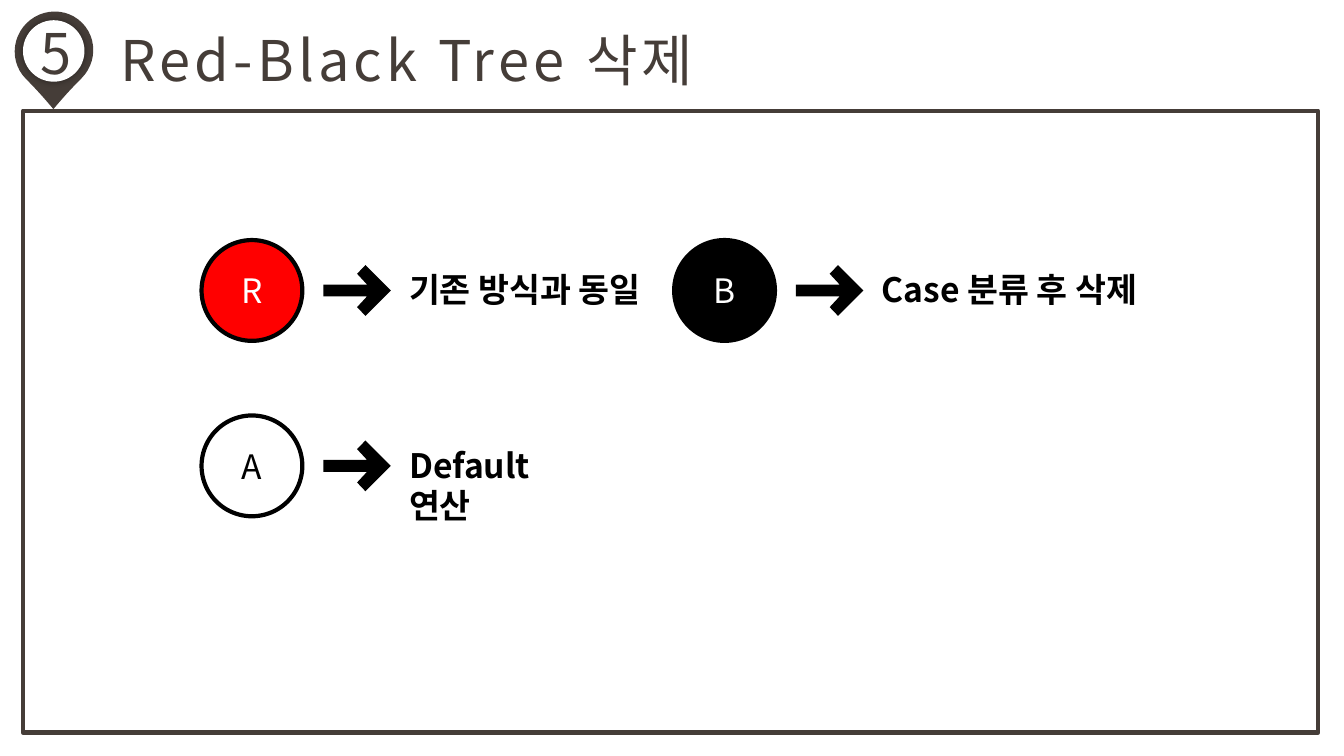
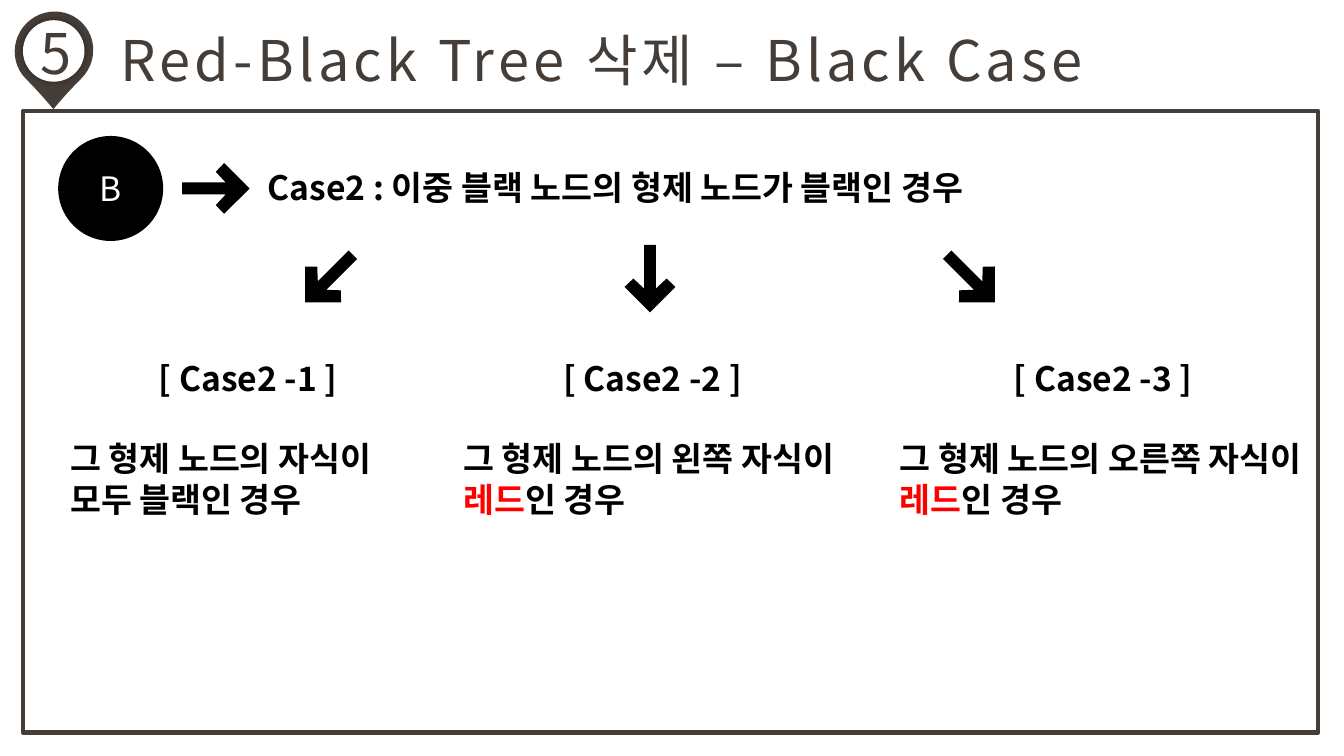
from dataclasses import dataclass

from lxml.etree import SubElement
from pptx import Presentation
from pptx.dml.color import RGBColor
from pptx.enum.shapes import MSO_SHAPE
from pptx.enum.text import MSO_ANCHOR, MSO_AUTO_SIZE, PP_ALIGN
from pptx.oxml import parse_xml
from pptx.oxml.ns import nsdecls, qn
from pptx.util import Cm, Pt


@dataclass(frozen=True)
class Theme:
    font: str = "Noto Sans CJK KR"
    brown: str = "453D38"
    black: str = "000000"
    white: str = "FFFFFF"
    red: str = "FF0000"
    title_size: int = 40
    text_size: int = 24
    line_width: int = 3
    title_spacing: int = 3
    line_height: float = 1.2


THEME = Theme()

SECTION = "5"
NODE_STYLES = {  # letter: fill, text colour
    "R": (THEME.red, THEME.white),
    "B": (THEME.black, THEME.white),
    "A": (THEME.white, THEME.black),
}

OVERVIEW_TITLE = "Red-Black Tree 삭제"
OVERVIEW = [  # letter, row, column, text, text width
    ("R", 0, 0, "기존 방식과 동일", 6.38),
    ("B", 0, 1, "Case 분류 후 삭제", 7.16),
    ("A", 1, 0, "Default 연산", 5.18),
]

CASE_TITLE = "Red-Black Tree 삭제 – Black Case"
CASE_RULE = "Case2 : 이중 블랙 노드의 형제 노드가 블랙인 경우"
CASES = [  # heading, spans of the body, left, width, arrow angle
    ("[ Case2 -1 ]", ["그 형제 노드의 자식이\n모두 블랙인 경우"], 1.52, 9.47, 135),
    ("[ Case2 -2 ]", ["그 형제 노드의 왼쪽 자식이 ", "레드", "인 경우"], 11.43, 10.03, 90),
    ("[ Case2 -3 ]", ["그 형제 노드의 오른쪽 자식이 ", "레드", "인 경우"], 22.43, 10.74, 45),
]
RED_WORD = "레드"

# Centimetres
SLIDE_SIZE = (33.87, 19.05)
NODE_SIZE = 2.54
ROW_TOP, ROW_STEP = 6.05, 4.42
COLUMN_LEFT, COLUMN_STEP = 5.08, 11.91
ARROW_OFFSET, TEXT_OFFSET = 3.92, 4.98
CASE_ARROW_LEFT, CASE_ARROW_STEP, CASE_ARROW_TOP = 8.29, 8.09, 7.02
UPPER_ARROW = [(-0.85, -0.15), (0.25, -0.15), (0, -0.42), (0.21, -0.64)]
ARROW_OUTLINE = UPPER_ARROW + [(0.85, 0)] + [(x, -y) for x, y in reversed(UPPER_ARROW)]


def rgb(colour):
    return RGBColor.from_string(colour)


def format_span(span, size, colour, bold=False, spacing=0):
    span.font.name = THEME.font
    span.font.size = Pt(size)
    span.font.bold = bold
    span.font.color.rgb = rgb(colour)
    properties = span._r.get_or_add_rPr()
    if spacing:
        properties.set("spc", str(spacing * 100))
    SubElement(properties, qn("a:ea")).set("typeface", THEME.font)


def format_para(para, size, colour, align=PP_ALIGN.LEFT, **style):
    para.alignment = align
    para.line_spacing = Pt(size * THEME.line_height)
    for span in para.runs:
        format_span(span, size, colour, **style)


def place(shape, left, top, width, height):
    shape.left, shape.top, shape.width, shape.height = map(Cm, (left, top, width, height))


def add_preset(page, preset, bounds, fill=None, line=None):
    shape = page.shapes.add_shape(preset, *map(Cm, bounds))
    shape.shadow.inherit = False
    if fill:
        shape.fill.solid()
        shape.fill.fore_color.rgb = rgb(fill)
    else:
        shape.fill.background()
    if line:
        shape.line.color.rgb = rgb(line)
        shape.line.width = Pt(THEME.line_width)
    else:
        shape.line.fill.background()
    return shape


def add_text_box(page, left, top, width, height):
    frame = page.shapes.add_textbox(*map(Cm, (left, top, width, height))).text_frame
    frame.word_wrap = True
    return frame


def add_arrow(page, centre_x, centre_y, angle=0):
    points = [(Cm(centre_x + x), Cm(centre_y + y)) for x, y in ARROW_OUTLINE]
    builder = page.shapes.build_freeform(*points[0])
    builder.add_line_segments(points[1:], close=True)
    arrow = builder.convert_to_shape()
    arrow.shadow.inherit = False
    arrow.fill.solid()
    arrow.fill.fore_color.rgb = rgb(THEME.black)
    arrow.line.fill.background()
    arrow.rotation = angle


def add_node_row(page, letter, left, top, text, text_width):
    """Draw a tree node, an arrow and the text it leads to."""
    fill, colour = NODE_STYLES[letter]
    node = add_preset(page, MSO_SHAPE.OVAL, (left, top, NODE_SIZE, NODE_SIZE), fill, THEME.black)
    node.text_frame.text = letter
    node.text_frame.vertical_anchor = MSO_ANCHOR.MIDDLE
    format_para(node.text_frame.paragraphs[0], THEME.text_size, colour, PP_ALIGN.CENTER)
    add_arrow(page, left + ARROW_OFFSET, top + NODE_SIZE / 2)
    frame = add_text_box(page, left + TEXT_OFFSET, top + 0.61, text_width, 1.28)
    frame.text = text
    format_para(frame.paragraphs[0], THEME.text_size, THEME.black, bold=True)


def add_case(page, heading, body, left, width):
    frame = add_text_box(page, left, 8.89, width, 4.37)
    frame.text = heading
    format_para(frame.paragraphs[0], THEME.text_size, THEME.black, PP_ALIGN.CENTER, bold=True)
    para = frame.add_paragraph()
    para.text = body[0]
    for words in body[1:]:
        para.add_run().text = words
    format_para(para, THEME.text_size, THEME.black, bold=True)
    para.space_before = Pt(THEME.text_size * THEME.line_height)
    for span in para.runs:
        if span.text == RED_WORD:
            span.font.color.rgb = rgb(THEME.red)


def decorate_layout(layout, page):
    """Draw the pin and the frame on a page, then move them to its layout."""
    pin = add_preset(page, MSO_SHAPE.TEAR, (0.36, 0.3, 2, 1.96), THEME.brown)
    pin.adjustments[0] = 1.05
    pin.rotation = 135
    hole = add_preset(page, MSO_SHAPE.OVAL, (0.58, 0.51, 1.55, 1.55), THEME.white)
    hole.element.spPr.find(qn("a:effectLst")).append(parse_xml(
        f'<a:outerShdw {nsdecls("a")} blurRad="{Pt(5)}" dist="0" algn="ctr" rotWithShape="0">'
        f'<a:srgbClr val="{THEME.black}"><a:alpha val="40000"/></a:srgbClr></a:outerShdw>'))
    border = add_preset(page, MSO_SHAPE.RECTANGLE, (0.58, 2.79, 32.64, 15.67), line=THEME.brown)
    for shape in (pin, hole, border):
        layout.shapes.element.append(shape.element)


def add_page(deck, layout, title):
    page = deck.slides.add_slide(layout)
    heading = page.shapes.title
    place(heading, 2.79, 0.51, 30.43, 1.96)
    heading.text_frame.text = title
    heading.text_frame.word_wrap = True
    heading.text_frame.auto_size = MSO_AUTO_SIZE.NONE
    heading.text_frame.vertical_anchor = MSO_ANCHOR.TOP
    number = add_text_box(page, 0.66, 0.33, 1.5, 1.96)
    number.word_wrap = False
    number.text = SECTION
    for frame, align in ((heading.text_frame, PP_ALIGN.LEFT), (number, PP_ALIGN.CENTER)):
        format_para(frame.paragraphs[0], THEME.title_size, THEME.brown, align,
                    spacing=THEME.title_spacing)
    return page


def main():
    deck = Presentation()
    deck.slide_width, deck.slide_height = map(Cm, SLIDE_SIZE)
    layout = deck.slide_layouts.get_by_name("Title Only")

    overview = add_page(deck, layout, OVERVIEW_TITLE)
    decorate_layout(layout, overview)
    for letter, row, column, text, width in OVERVIEW:
        left = COLUMN_LEFT + column * COLUMN_STEP
        add_node_row(overview, letter, left, ROW_TOP + row * ROW_STEP, text, width)

    cases = add_page(deck, layout, CASE_TITLE)
    add_node_row(cases, "B", 1.52, 3.48, CASE_RULE, 18.44)
    for index, (heading, body, left, width, angle) in enumerate(CASES):
        add_arrow(cases, CASE_ARROW_LEFT + index * CASE_ARROW_STEP, CASE_ARROW_TOP, angle)
        add_case(cases, heading, body, left, width)

    deck.save("out.pptx")


if __name__ == "__main__":
    main()
